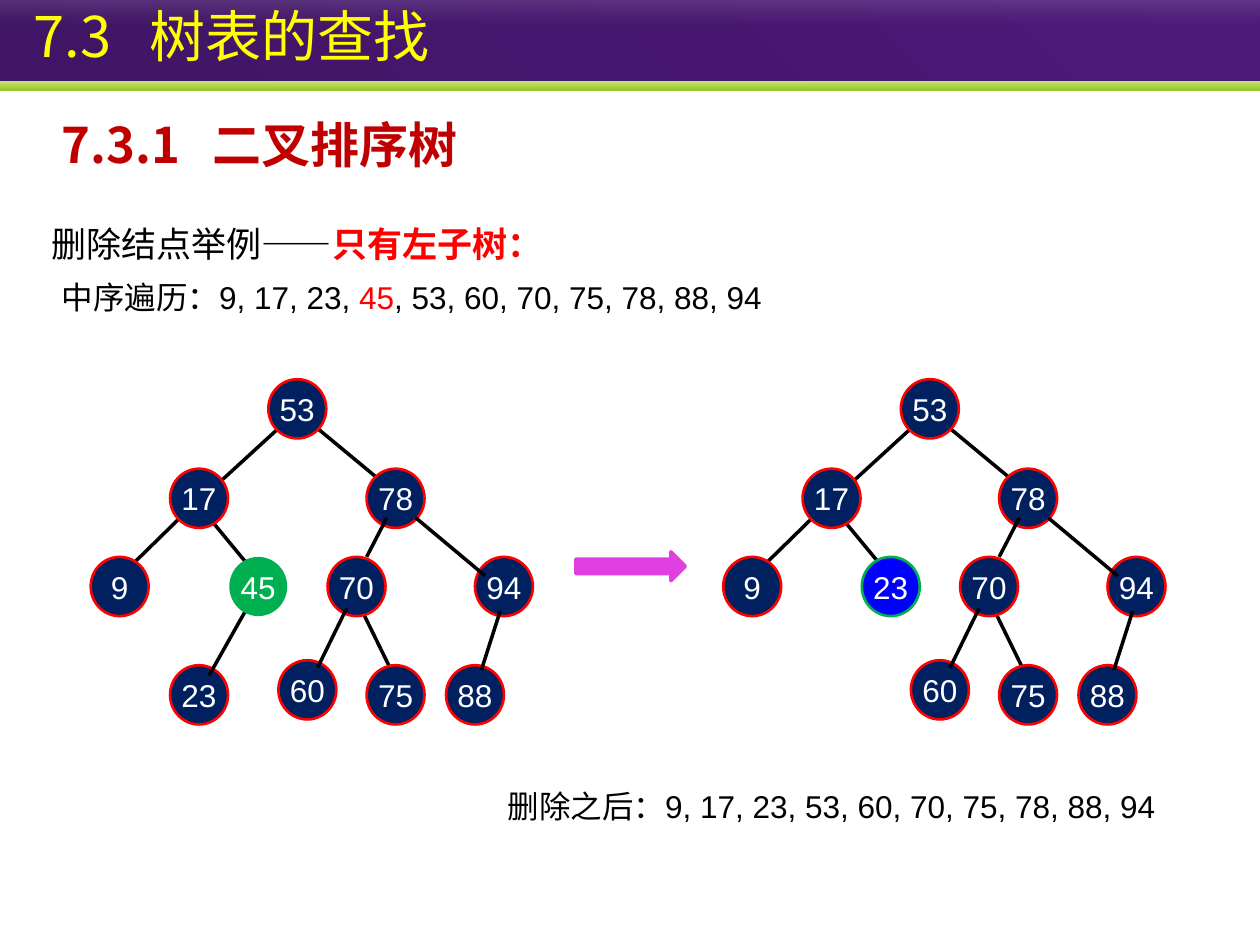
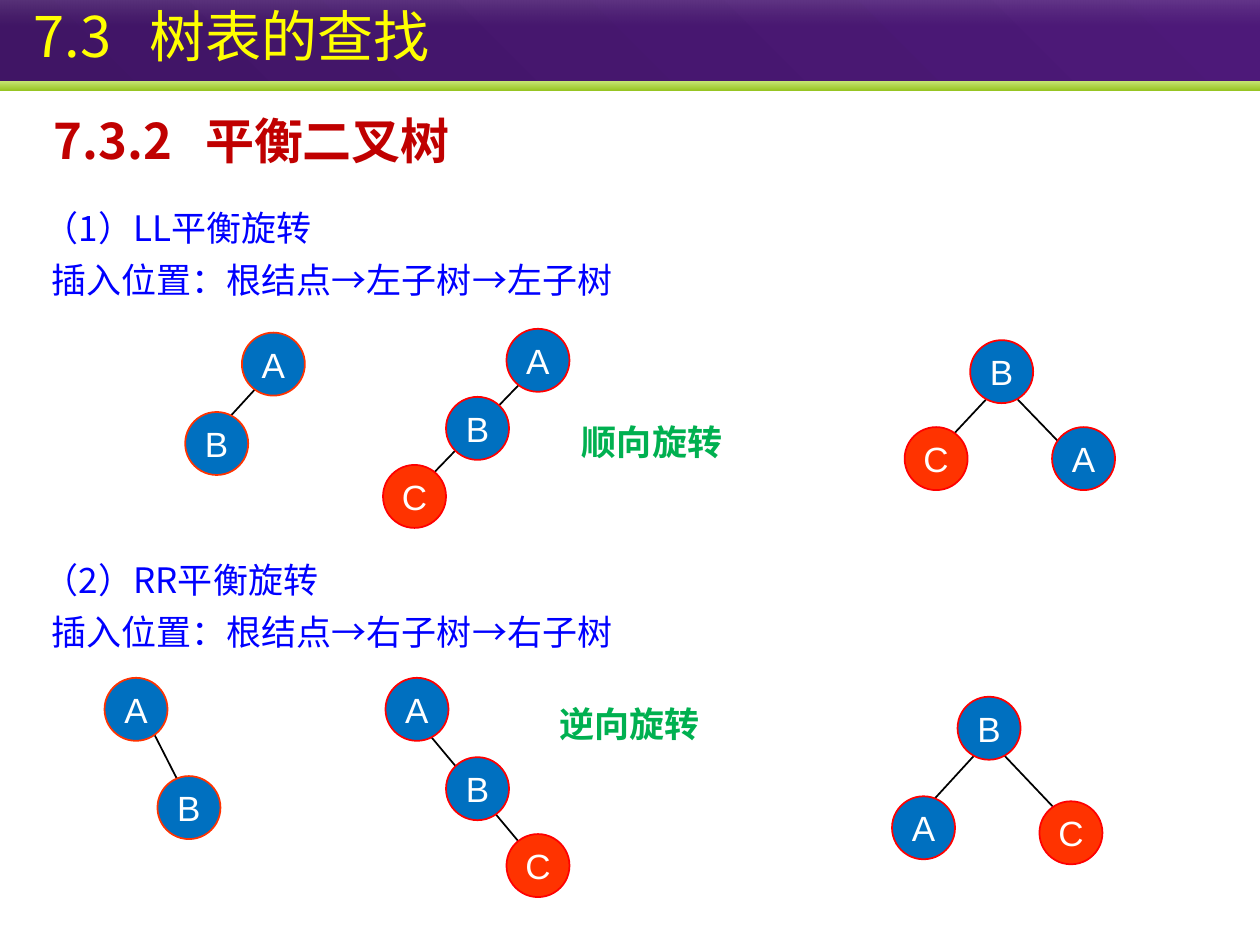
from dataclasses import dataclass

from pptx import Presentation
from pptx.dml.color import RGBColor
from pptx.enum.shapes import MSO_CONNECTOR, MSO_SHAPE
from pptx.enum.text import MSO_ANCHOR, PP_ALIGN
from pptx.oxml.ns import qn
from pptx.oxml.xmlchemy import OxmlElement
from pptx.util import Inches, Pt

STRAIGHT = MSO_CONNECTOR.STRAIGHT
RECTANGLE, ELLIPSE, ARROW = MSO_SHAPE.RECTANGLE, MSO_SHAPE.OVAL, MSO_SHAPE.RIGHT_ARROW
TOP, MIDDLE = MSO_ANCHOR.TOP, MSO_ANCHOR.MIDDLE
LEFT, CENTER = PP_ALIGN.LEFT, PP_ALIGN.CENTER


@dataclass(frozen=True)
class Theme:
    latin: str = "Arial"
    cjk: str = "Noto Sans CJK SC"
    black: str = "000000"
    white: str = "FFFFFF"
    red: str = "FF0000"
    orange: str = "FF3300"
    green: str = "00B050"
    blue: str = "0000FF"
    navy: str = "002060"
    sky: str = "0070C0"
    pink: str = "E13FE1"
    yellow: str = "FFFF00"
    heading: str = "C00000"
    band: tuple = ("401565", "4D1979")
    stripe: tuple = ("C9E576", "97C523")
    gloss: tuple = ("FFFFFF", "B6B6B6")
    title_size: int = 32
    heading_size: int = 28
    body_size: int = 20
    list_size: int = 18


THEME = Theme()


@dataclass(frozen=True)
class NodeStyle:
    fill: str
    outline: str
    width: float
    height: float
    size: int
    border: float
    edge: float


KEY_NODE = NodeStyle(THEME.navy, THEME.red, 0.46, 0.47, THEME.list_size, 1.5, 2)
KEPT_NODE = NodeStyle(THEME.sky, THEME.red, 0.5, 0.5, THEME.body_size, 1, 1)
START_NODE = NodeStyle(THEME.sky, THEME.orange, 0.5, 0.5, THEME.body_size, 1, 1)

KEYS = {
    "53": (2.13, 3.01), "17": (1.35, 3.72), "78": (2.91, 3.72),
    "9": (0.72, 4.42), "70": (2.6, 4.42), "94": (3.77, 4.42),
    "60": (2.21, 5.24), "75": (2.91, 5.28), "88": (3.54, 5.28),
}
DELETED_SPOT = (1.82, 4.42)
CHILD_SPOT = (1.35, 5.28)
EDGES_BELOW = [
    (2.21, 3.4, 1.74, 3.83), (2.52, 3.4, 2.99, 3.79), (1.51, 4.03, 1.03, 4.5),
    (1.66, 4.11, 2.04, 4.57), (2.87, 4.84, 3.1, 5.31),
]
EDGES_ABOVE = [
    (3.07, 4.11, 2.91, 4.42), (3.3, 4.11, 3.85, 4.57),
    (2.75, 4.83, 2.52, 5.3), (3.97, 4.85, 3.82, 5.32),
]
CHILD_EDGE = (1.97, 4.81, 1.66, 5.36)
RESULT_SHIFT = 5.02

ROTATION_TREES = [
    (START_NODE, {"A": (1.92, 2.64), "B": (1.47, 3.27)}, [(2.07, 3.04, 1.74, 3.4)]),
    (KEPT_NODE, {"A": (4.02, 2.61), "B": (3.54, 3.15), "C": (3.04, 3.69)},
     [(4.2, 2.97, 3.32, 3.88)]),
    (KEPT_NODE, {"B": (7.7, 2.7), "C": (7.18, 3.39), "A": (8.35, 3.39)},
     [(8.53, 3.64, 7.98, 3.07), (7.92, 3.07, 7.48, 3.54)]),
    (START_NODE, {"A": (0.83, 5.38), "B": (1.25, 6.16)}, [(1.2, 5.78, 1.46, 6.29)]),
    (KEPT_NODE, {"A": (3.06, 5.38), "B": (3.54, 6.01), "C": (4.02, 6.62)},
     [(3.34, 5.75, 4.2, 6.78)]),
    (KEPT_NODE, {"B": (7.6, 5.53), "C": (8.25, 6.36), "A": (7.08, 6.32)},
     [(8.43, 6.48, 7.88, 5.9), (7.82, 5.9, 7.38, 6.38)]),
]


def rgb(color):
    return RGBColor.from_string(color)


def add_span(para, text, size, color, font=THEME.cjk, bold=False):
    span = para.add_run()
    span.text = text
    span.font.size = Pt(size)
    span.font.bold = bold
    span.font.name = font
    span.font.color.rgb = rgb(color)
    east_asian = OxmlElement("a:ea")
    east_asian.set("typeface", THEME.cjk)
    span.font._element.find(qn("a:latin")).addnext(east_asian)


def set_tab(para, position):
    tabs = OxmlElement("a:tabLst")
    tab = OxmlElement("a:tab")
    tab.set("pos", str(Inches(position)))
    tab.set("algn", "l")
    tabs.append(tab)
    para._element.get_or_add_pPr().append(tabs)


def add_text(page, area, spans, size, font=THEME.cjk, anchor=TOP, wrap=True,
             spacing=None, tab=None):
    box = page.shapes.add_textbox(*map(Inches, area))
    frame = box.text_frame
    frame.word_wrap = wrap
    frame.vertical_anchor = anchor
    para = frame.paragraphs[0]
    para.alignment = LEFT
    if spacing:
        para.line_spacing = spacing
    if tab:
        set_tab(para, tab)
    for text, color, bold in spans:
        add_span(para, text, size, color, font, bold)
    return box


def add_shape(shapes, kind, area, fill=None, outline=None, border=1):
    shape = shapes.add_shape(kind, *map(Inches, area))
    shape.shadow.inherit = False
    if fill:
        shape.fill.solid()
        shape.fill.fore_color.rgb = rgb(fill)
    if outline:
        shape.line.color.rgb = rgb(outline)
        shape.line.width = Pt(border)
    else:
        shape.line.fill.background()
    return shape


def add_band(page, top, height, colors, angle, opacities=()):
    band = add_shape(page.shapes, RECTANGLE, (0, top, 10, height))
    band.fill.gradient()
    band.fill.gradient_angle = 360 - angle
    for stop, color, position in zip(band.fill.gradient_stops, colors, (0, 1)):
        stop.color.rgb = rgb(color)
        stop.position = position
    for mark, opacity in zip(band._element.spPr.iter(qn("a:srgbClr")), opacities):
        alpha = OxmlElement("a:alpha")
        alpha.set("val", str(opacity * 1000))
        mark.append(alpha)


def add_edge(shapes, ends, shift, width):
    x1, y1, x2, y2 = ends
    points = (x1 + shift, y1, x2 + shift, y2)
    edge = shapes.add_connector(STRAIGHT, *map(Inches, points))
    edge.line.color.rgb = rgb(THEME.black)
    edge.line.width = Pt(width)
    edge._element.spPr.append(OxmlElement("a:effectLst"))


def add_node(shapes, label, spot, shift, style, fill, outline):
    area = (spot[0] + shift, spot[1], style.width, style.height)
    node = add_shape(shapes, ELLIPSE, area, fill, outline, style.border)
    frame = node.text_frame
    frame.word_wrap = False
    frame.vertical_anchor = MIDDLE
    para = frame.paragraphs[0]
    para.alignment = CENTER
    add_span(para, label, style.size, THEME.white, THEME.latin)


def add_tree(page, nodes, style, below, above=(), shift=0, fills=None, focus=None):
    shapes = page.shapes.add_group_shape().shapes
    for ends in below:
        add_edge(shapes, ends, shift, style.edge)
    for label, spot in nodes.items():
        fill = (fills or {}).get(label, style.fill)
        add_node(shapes, label, spot, shift, style, fill, style.outline)
    for ends in above:
        add_edge(shapes, ends, shift, style.edge)
    if focus:
        label, fill, outline = focus
        add_node(shapes, label, DELETED_SPOT, shift, style, fill, outline)


def add_page(deck, heading, left, top):
    page = deck.slides.add_slide(deck.slide_layouts[6])
    add_band(page, 0, 0.64, THEME.band, 315)
    add_band(page, 0.64, 0.08, THEME.stripe, 90)
    add_band(page, 0, 0.2, THEME.gloss, 90, (13, 0))
    add_text(page, (0.17, -0.08, 9.79, 0.71), [("7.3\t树表的查找", THEME.yellow, False)],
             THEME.title_size, anchor=MIDDLE, tab=0.92)
    add_text(page, (left, top, 6.72, 0.57), [(heading, THEME.heading, True)],
             THEME.heading_size, tab=1.2)
    return page


def add_rotation_text(page, area, lines, anchor):
    box = add_text(page, area, [(lines[0], THEME.blue, False)], THEME.body_size,
                   anchor=anchor, spacing=Pt(30))
    para = box.text_frame.add_paragraph()
    para.line_spacing = Pt(30)
    para._element.get_or_add_pPr().set("marL", str(Inches(0.06)))
    add_span(para, lines[1], THEME.body_size, THEME.blue)


def build_deletion(deck):
    page = add_page(deck, "7.3.1\t二叉排序树", 0.39, 0.86)
    add_text(page, (0.31, 1.55, 5.89, 0.53),
             [("删除结点举例——", THEME.black, False), ("只有左子树：", THEME.red, True)],
             THEME.body_size, spacing=1.5)
    add_text(page, (0.39, 2.16, 5.95, 0.4),
             [("中序遍历：9, 17, 23, ", THEME.black, False), ("45", THEME.red, False),
              (", 53, 60, 70, 75, 78, 88, 94", THEME.black, False)],
             THEME.list_size, THEME.latin)
    add_tree(page, {**KEYS, "23": CHILD_SPOT}, KEY_NODE, EDGES_BELOW,
             [*EDGES_ABOVE, CHILD_EDGE], focus=("45", THEME.green, None))
    add_tree(page, KEYS, KEY_NODE, EDGES_BELOW, EDGES_ABOVE, RESULT_SHIFT,
             focus=("23", THEME.blue, THEME.green))
    add_shape(page.shapes, ARROW, (4.57, 4.38, 0.87, 0.23), THEME.pink, THEME.pink, 2)
    add_text(page, (3.93, 6.2, 5.6, 0.4),
             [("删除之后：9, 17, 23, 53, 60, 70, 75, 78, 88, 94", THEME.black, False)],
             THEME.list_size, THEME.latin)


def build_rotation(deck):
    page = add_page(deck, "7.3.2\t平衡二叉树", 0.33, 0.83)
    add_rotation_text(page, (0.25, 1.45, 5.67, 1.04),
                      ("（1）LL平衡旋转", "插入位置：根结点→左子树→左子树"), MIDDLE)
    add_rotation_text(page, (0.25, 4.3, 5.67, 0.94),
                      ("（2）RR平衡旋转", "插入位置：根结点→右子树→右子树"), TOP)
    for style, nodes, edges in ROTATION_TREES:
        add_tree(page, nodes, style, edges, fills={"C": THEME.orange})
    for label, left, top in (("顺向旋转", 4.52, 3.29), ("逆向旋转", 4.34, 5.53)):
        add_text(page, (left, top, 1.32, 0.44), [(label, THEME.green, True)],
                 THEME.body_size, THEME.latin, wrap=False)


def main():
    deck = Presentation()
    deck.slide_width, deck.slide_height = Inches(10), Inches(7.5)
    build_deletion(deck)
    build_rotation(deck)
    deck.save("out.pptx")


if __name__ == "__main__":
    main()
